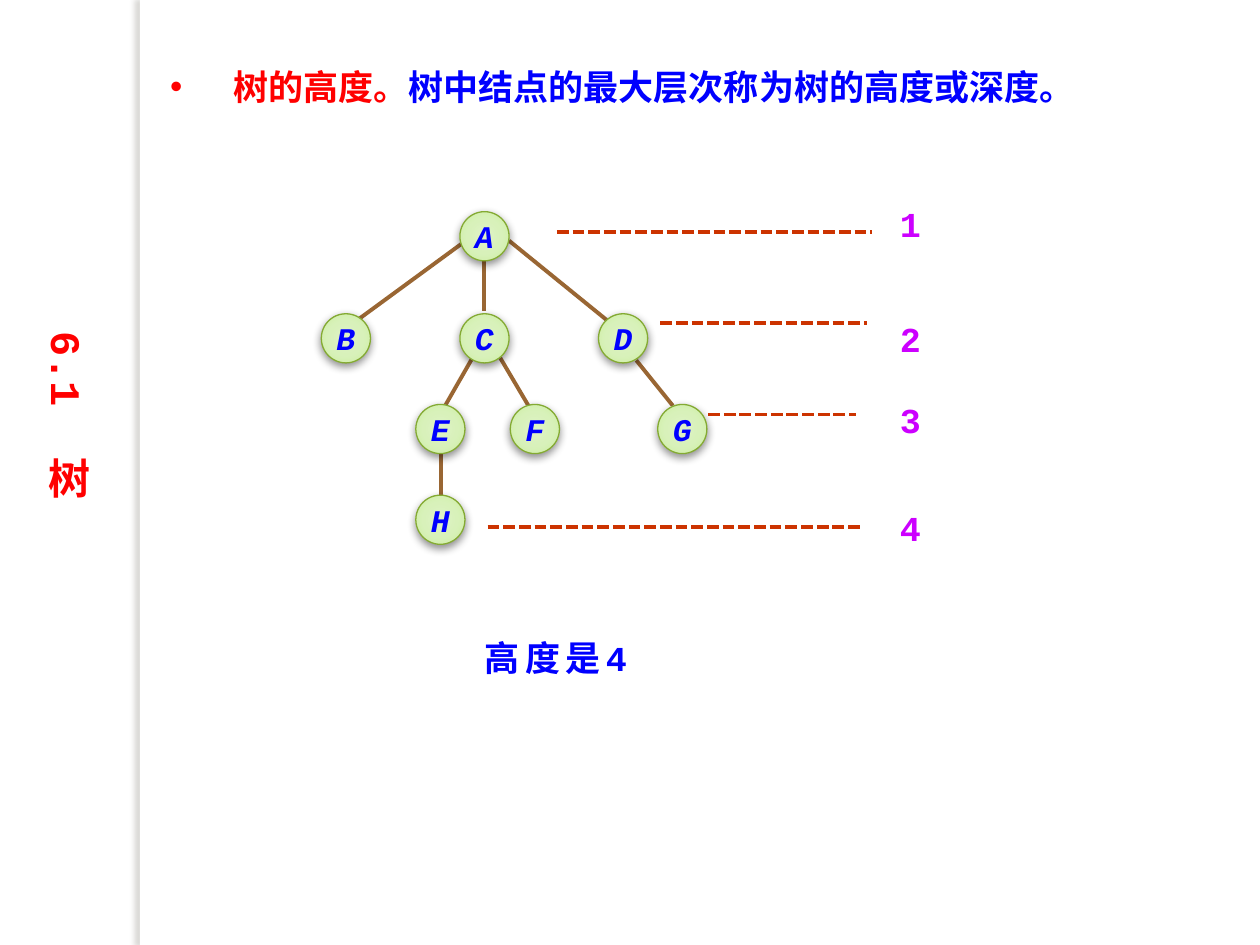
from lxml import etree
from pptx import Presentation
from pptx.dml.color import RGBColor
from pptx.enum.dml import MSO_LINE
from pptx.enum.shapes import MSO_CONNECTOR, MSO_SHAPE
from pptx.enum.text import MSO_ANCHOR, MSO_AUTO_SIZE, PP_ALIGN
from pptx.oxml import parse_xml
from pptx.oxml.ns import qn
from pptx.util import Inches, Pt

STRAIGHT = MSO_CONNECTOR.STRAIGHT
OVAL, RECTANGLE = MSO_SHAPE.OVAL, MSO_SHAPE.RECTANGLE
DASHED = MSO_LINE.SQUARE_DOT
LEFT, CENTER = PP_ALIGN.LEFT, PP_ALIGN.CENTER
TOP, MIDDLE = MSO_ANCHOR.TOP, MSO_ANCHOR.MIDDLE
GROW, FIXED = MSO_AUTO_SIZE.SHAPE_TO_FIT_TEXT, MSO_AUTO_SIZE.NONE

THEME = {
    "mono": "Courier New", "cjk": "Noto Sans CJK SC",
    "red": "FF0000", "blue": "0000FF", "purple": "CC00FF",
    "edge": "996633", "guide": "CC3300", "rim": "84AA33",
    "panel": "FFFFFF", "panel_shadow": "736F63", "node_shadow": "000000",
    "node_fill": [(0, "DFF3C7"), (50, "D8F1BA"), (97, "CDEFA2"), (100, "CAF199")],
    "section_size": 24, "body_size": 20, "node_size": 18,
    "stroke": 2.25, "rim_width": 0.75,
}

SECTION = [("6.1", {}), (" ", {"spacing": 14.4}), ("树", {})]
DEFINITION = [
    ("树的高度", {"color": "red", "font": "cjk"}),
    ("。", {"color": "red"}),
    ("树中结点的最大层次称为树的高度或深度。", {}),
]
ANSWER = "高度是4"

NODE_SIZE = 0.39
TREE_ROWS = [
    (1.68, {"A": 3.65}),
    (2.49, {"B": 2.55, "C": 3.65, "D": 4.75}),
    (3.21, {"E": 3.3, "F": 4.05, "G": 5.22}),
    (3.93, {"H": 3.3}),
]
EDGES = [
    ((3.67, 1.93), (2.81, 2.56)),
    ((3.84, 2.07), (3.84, 2.47)),
    ((4.04, 1.91), (4.84, 2.56)),
    ((3.75, 2.84), (3.51, 3.26)),
    ((3.97, 2.84), (4.2, 3.23)),
    ((5.05, 2.86), (5.34, 3.22)),
    ((3.5, 3.6), (3.5, 3.93)),
]
LEVELS = [
    (1.56, 1.84, 4.42, 6.92),
    (2.47, 2.56, 5.24, 6.88),
    (3.11, 3.29, 5.62, 6.79),
    (3.97, 4.18, 3.87, 6.84),
]
LEVEL_LEFT, LEVEL_WIDTH, LEVEL_HEIGHT = 7.03, 0.39, 0.43

A_NS = 'xmlns:a="http://schemas.openxmlformats.org/drawingml/2006/main"'


def rgb(name):
    return RGBColor.from_string(THEME[name])


def place(shape, left, top, width, height):
    shape.left, shape.top = Inches(left), Inches(top)
    shape.width, shape.height = Inches(width), Inches(height)


def write(shape, content, color="blue", size="body_size", font="mono", italic=False,
          spacing=0, align=LEFT, anchor=TOP, wrap=True, fit=GROW, vertical=False,
          hanging=0):
    frame = shape.text_frame
    frame.word_wrap, frame.auto_size, frame.vertical_anchor = wrap, fit, anchor
    if vertical:
        shape.element.txBody.bodyPr.set("vert", "eaVert")
    paragraph = frame.paragraphs[0]
    paragraph.alignment = align
    paragraph.space_before = Pt(0)
    if hanging:
        properties = paragraph._p.get_or_add_pPr()
        properties.set("marL", str(Inches(hanging)))
        properties.set("indent", str(-Inches(hanging)))
        etree.SubElement(properties, qn("a:buChar")).set("char", "•")
    base = {"color": color, "font": font, "spacing": spacing}
    runs = [(content, {})] if isinstance(content, str) else content
    for text, changes in runs:
        style = {**base, **changes}
        run = paragraph.add_run()
        run.text = text
        run.font.size, run.font.bold, run.font.italic = Pt(THEME[size]), True, italic
        run.font.color.rgb = rgb(style["color"])
        run.font.name = THEME[style["font"]]
        properties = run.font._element
        etree.SubElement(properties, qn("a:ea")).set("typeface", THEME["cjk"])
        if style["spacing"]:
            properties.set("spc", str(round(style["spacing"] * 100)))


def add_shadow(shape, color, opacity, blur, distance, angle):
    shape.element.spPr.append(parse_xml(
        f'<a:effectLst {A_NS}><a:outerShdw blurRad="{Pt(blur)}" dist="{Pt(distance)}" '
        f'dir="{angle * 60000}" algn="ctr" rotWithShape="0"><a:srgbClr val="{THEME[color]}">'
        f'<a:alpha val="{opacity * 1000}"/></a:srgbClr></a:outerShdw></a:effectLst>'))


def add_line(shapes, start, end, color, dash=None):
    line = shapes.add_connector(STRAIGHT, *(Inches(v) for v in (*start, *end)))
    line.line.color.rgb = rgb(color)
    line.line.width = Pt(THEME["stroke"])
    if dash:
        line.line.dash_style = dash
    etree.SubElement(line.element.spPr, qn("a:effectLst"))


def add_text(shapes, box, content, **style):
    write(shapes.add_textbox(*(Inches(v) for v in box)), content, **style)


def add_node(shapes, letter, left, top):
    node = shapes.add_shape(OVAL, *(Inches(v) for v in (left, top, NODE_SIZE, NODE_SIZE)))
    stops = "".join(f'<a:gs pos="{pos * 1000}"><a:srgbClr val="{color}"/></a:gs>'
                    for pos, color in THEME["node_fill"])
    node.element.spPr.append(parse_xml(
        f'<a:gradFill {A_NS} rotWithShape="1"><a:gsLst>{stops}</a:gsLst><a:path path="circle">'
        '<a:fillToRect l="50000" t="50000" r="50000" b="50000"/></a:path></a:gradFill>'))
    node.line.color.rgb = rgb("rim")
    node.line.width = Pt(THEME["rim_width"])
    add_shadow(node, "node_shadow", 43, 5, 2, 90)
    write(node, letter, size="node_size", italic=True, align=CENTER, anchor=MIDDLE,
          wrap=False, fit=FIXED)


def main():
    deck = Presentation()
    deck.slide_width, deck.slide_height = Inches(10), Inches(7.5)
    slide = deck.slides.add_slide(deck.slide_layouts[1])
    shapes = slide.shapes

    panel = shapes.add_shape(RECTANGLE, Inches(1.11), 0, Inches(0.08), Inches(7.5))
    panel.fill.solid()
    panel.fill.fore_color.rgb = rgb("panel")
    panel.line.fill.background()
    add_shadow(panel, "panel_shadow", 25, 3, 3, 180)

    section, definition = shapes.title, slide.placeholders[1]
    place(section, 0.23, 2.58, 0.61, 1.8)
    write(section, SECTION, color="red", size="section_size", vertical=True)
    place(definition, 1.25, 0.47, 8.52, 0.44)
    write(definition, DEFINITION, hanging=0.5)

    for level, (label_top, guide_y, start_x, end_x) in enumerate(LEVELS, 1):
        add_text(shapes, (LEVEL_LEFT, label_top, LEVEL_WIDTH, LEVEL_HEIGHT), str(level),
                 color="purple", align=CENTER)
        add_line(shapes, (start_x, guide_y), (end_x, guide_y), "guide", DASHED)

    tree = shapes.add_group_shape().shapes
    for start, end in EDGES:
        add_line(tree, start, end, "edge")
    for top, nodes in TREE_ROWS:
        for letter, left in nodes.items():
            add_node(tree, letter, left, top)

    add_text(shapes, (3.75, 5, 1.64, 0.44), ANSWER, spacing=3)
    deck.save("out.pptx")


if __name__ == "__main__":
    main()
